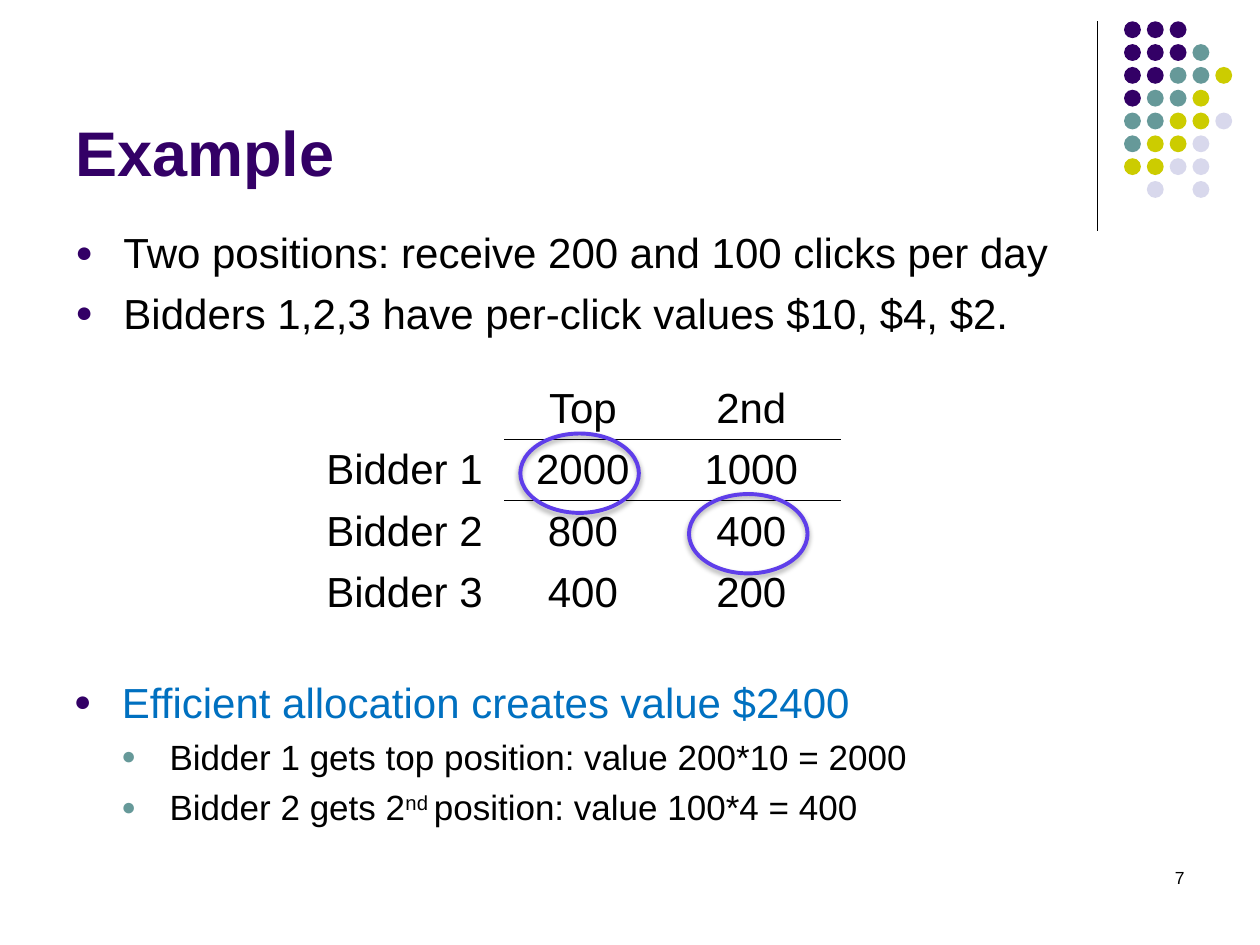
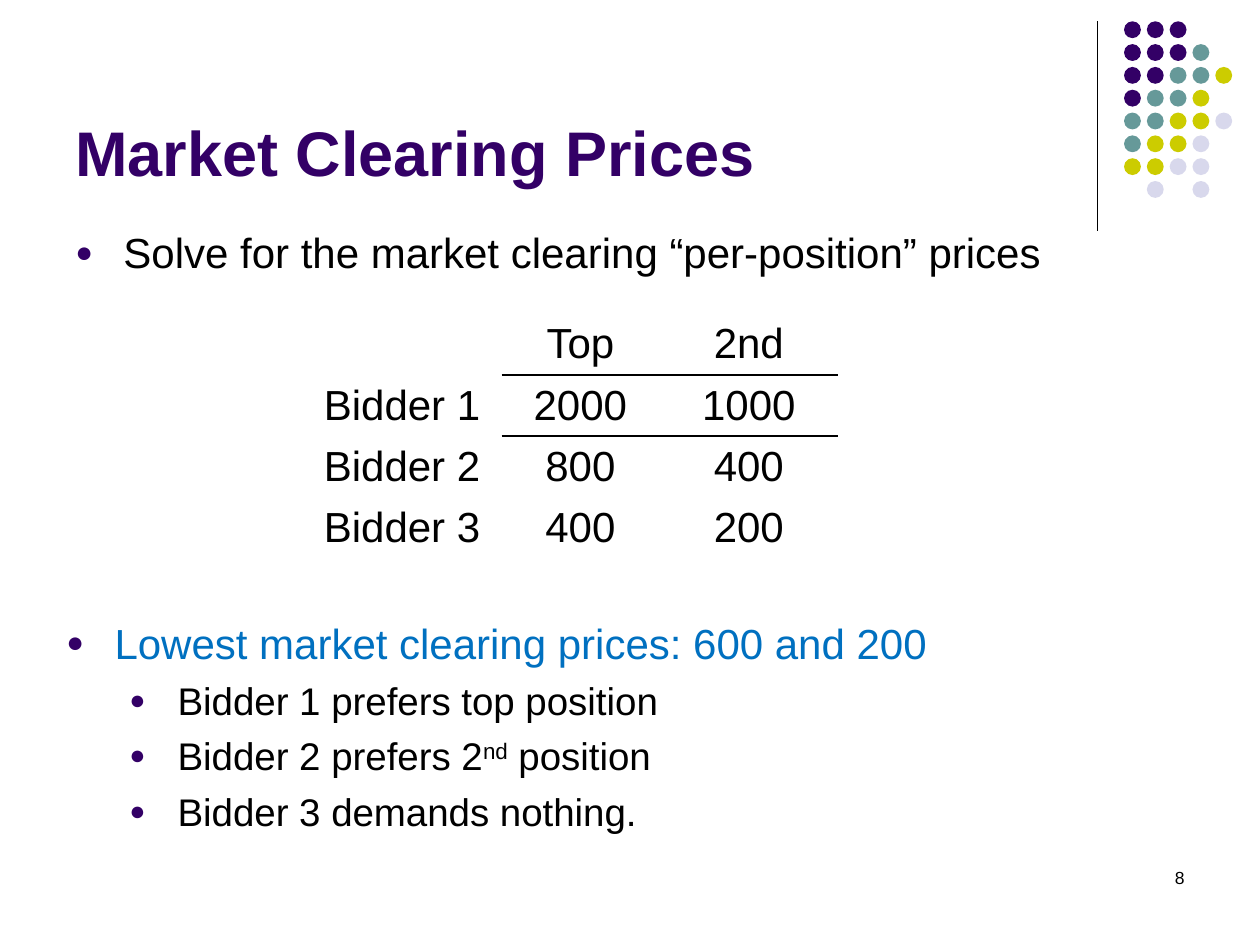
from lxml import etree
from pptx import Presentation
from pptx.dml.color import RGBColor
from pptx.enum.shapes import MSO_CONNECTOR, MSO_SHAPE
from pptx.enum.text import MSO_ANCHOR, PP_ALIGN
from pptx.oxml.ns import qn
from pptx.util import Cm, Pt

LEFT, CENTER, RIGHT = PP_ALIGN.LEFT, PP_ALIGN.CENTER, PP_ALIGN.RIGHT
TOP, MIDDLE, BOTTOM = MSO_ANCHOR.TOP, MSO_ANCHOR.MIDDLE, MSO_ANCHOR.BOTTOM
OVAL, STRAIGHT = MSO_SHAPE.OVAL, MSO_CONNECTOR.STRAIGHT

FONT = "Arial"
PURPLE, TEAL, BLACK, BLUE, VIOLET = "330066", "669999", "000000", "0070C0", "5F3EEA"
DOT_COLOURS = {"P": PURPLE, "T": TEAL, "Y": "CCCC00", "L": "D8D8EC"}
DOT_ROWS = ["PPP", "PPPT", "PPTTY", "PTTY", "TTYYL", "TYYL", "YYLL", " L L"]
DOT_PITCH, DOT_SIZE = 0.46, 0.34
HANGING = 0.97  # bullet to text, cm
NO_TABLE_STYLE = "{2D5ABB26-0587-4C30-8999-92F81FD0307C}"

VALUES = [
    ["", "Top", "2nd"],
    ["Bidder 1", "2000", "1000"],
    ["Bidder 2", "800", "400"],
    ["Bidder 3", "400", "200"],
]
COLUMN_WIDTHS = [4.01, 3.18, 3.61]
ROW_HEIGHT = 1.2

# Bullets: text (^ marks a superscript), size, colour, bullet colour, indent in cm
SLIDES = [
    {
        "title": "Example",
        "number": "7",
        "body_height": 2.97,
        "body": [
            ("Two positions: receive 200 and 100 clicks per day", 24, BLACK, PURPLE, HANGING),
            ("Bidders 1,2,3 have per-click values $10, $4, $2.", 24, BLACK, PURPLE, HANGING),
        ],
        "table_at": (6.15, 7.62),
        "circles": [(10.49, 8.74), (13.89, 9.96)],
        "conclusion_box": (1.24, 13.51, 22.86, 4.65),
        "conclusion": [
            ("Efficient allocation creates value $2400", 24, BLUE, PURPLE, HANGING),
            ("Bidder 1 gets top position: value 200*10 = 2000", 20, BLACK, TEAL, 1.93),
            ("Bidder 2 gets 2^nd ^position: value 100*4 = 400", 20, BLACK, TEAL, 1.93),
        ],
    },
    {
        "title": "Market Clearing Prices",
        "number": "8",
        "body_height": 1.47,
        "body": [
            ("Solve for the market clearing “per-position” prices", 24, BLACK, PURPLE, HANGING),
        ],
        "table_at": (6.1, 6.32),
        "circles": [],
        "conclusion_box": (1.09, 12.32, 22.86, 5.59),
        "conclusion": [
            ("Lowest market clearing prices: 600 and 200", 24, BLUE, PURPLE, HANGING),
            ("Bidder 1 prefers top position", 22, BLACK, PURPLE, 2.24),
            ("Bidder 2 prefers 2^nd^ position", 22, BLACK, PURPLE, 2.24),
            ("Bidder 3 demands nothing.", 22, BLACK, PURPLE, 2.24),
        ],
    },
]


def rgb(colour):
    return RGBColor.from_string(colour)


def add_text(slide, box, items, anchor=TOP, align=LEFT, bold=False):
    frame = slide.shapes.add_textbox(*map(Cm, box)).text_frame
    frame.word_wrap = True
    frame.vertical_anchor = anchor
    for index, (text, size, colour, bullet_colour, indent) in enumerate(items):
        paragraph = frame.paragraphs[0] if index == 0 else frame.add_paragraph()
        paragraph.alignment = align
        if index:
            paragraph.space_before = Pt(round(size * 0.24, 1))
        if bullet_colour:
            properties = paragraph._p.get_or_add_pPr()
            properties.set("marL", str(Cm(indent)))
            properties.set("indent", str(Cm(-HANGING)))
            fill = etree.SubElement(properties, qn("a:buClr"))
            etree.SubElement(fill, qn("a:srgbClr"), val=bullet_colour)
            etree.SubElement(properties, qn("a:buSzPct"), val="70000")
            etree.SubElement(properties, qn("a:buFont"), typeface=FONT)
            etree.SubElement(properties, qn("a:buChar"), char="●")
        paragraph.font.name = FONT
        paragraph.font.size = Pt(size)
        paragraph.font.bold = bold
        paragraph.font.color.rgb = rgb(colour)
        for part, words in enumerate(text.split("^")):
            run = paragraph.add_run()
            run.text = words
            if part % 2:
                run.font._element.set("baseline", "30000")


presentation = Presentation()
presentation.slide_width, presentation.slide_height = Cm(25.4), Cm(19.05)

for content in SLIDES:
    slide = presentation.slides.add_slide(presentation.slide_layouts[6])

    # Corner decoration: rule and dot grid
    rule = slide.shapes.add_connector(STRAIGHT, Cm(22.12), Cm(0.43), Cm(22.12), Cm(4.65))
    rule.line.color.rgb = rgb(BLACK)
    rule.line.width = Pt(0.75)
    etree.SubElement(rule._element.spPr, qn("a:effectLst"))
    dots = slide.shapes.add_group_shape()
    for row, letters in enumerate(DOT_ROWS):
        for column, letter in enumerate(letters):
            if letter == " ":
                continue
            dot = dots.shapes.add_shape(
                OVAL, Cm(22.66 + column * DOT_PITCH), Cm(0.43 + row * DOT_PITCH),
                Cm(DOT_SIZE), Cm(DOT_SIZE))
            dot.shadow.inherit = False
            dot.fill.solid()
            dot.fill.fore_color.rgb = rgb(DOT_COLOURS[letter])
            dot.line.fill.background()

    # Title and bullets
    add_text(slide, (1.27, 0.33, 20.96, 3.61),
             [(content["title"], 36, PURPLE, None, 0)], anchor=BOTTOM, bold=True)
    add_text(slide, (1.27, 4.45, 22.86, content["body_height"]), content["body"])
    add_text(slide, content["conclusion_box"], content["conclusion"])

    # Table of values, ruled below the position names
    left, top = content["table_at"]
    table = slide.shapes.add_table(
        len(VALUES), len(COLUMN_WIDTHS), Cm(left), Cm(top),
        Cm(sum(COLUMN_WIDTHS)), Cm(ROW_HEIGHT * len(VALUES))).table
    table.first_row = table.horz_banding = False
    table._tbl.tblPr.find(qn("a:tableStyleId")).text = NO_TABLE_STYLE
    for column, width in enumerate(COLUMN_WIDTHS):
        table.columns[column].width = Cm(width)
    for row, labels in enumerate(VALUES):
        table.rows[row].height = Cm(ROW_HEIGHT)
        for column, label in enumerate(labels):
            cell = table.cell(row, column)
            cell.fill.background()
            cell.vertical_anchor = MIDDLE
            cell.margin_top = cell.margin_bottom = Cm(0.11)
            paragraph = cell.text_frame.paragraphs[0]
            paragraph.alignment = CENTER
            paragraph.font.name = FONT
            paragraph.font.size = Pt(24)
            paragraph.font.color.rgb = rgb(BLACK)
            if label:
                paragraph.add_run().text = label
            if column and row < 2:
                border = etree.Element(qn("a:lnT" if row else "a:lnB"), w=str(Pt(1)))
                fill = etree.SubElement(border, qn("a:solidFill"))
                etree.SubElement(fill, qn("a:srgbClr"), val=BLACK)
                cell._tc.get_or_add_tcPr().insert(0, border)

    # Slide number
    add_text(slide, (18.21, 17.35, 5.92, 1.27),
             [(content["number"], 10, BLACK, None, 0)], align=RIGHT)

    # Circles around the efficient allocation
    for left, top in content["circles"]:
        circle = slide.shapes.add_shape(OVAL, Cm(left), Cm(top), Cm(2.39), Cm(1.6))
        circle.fill.background()
        circle.line.color.rgb = rgb(VIOLET)
        circle.line.width = Pt(2.25)
        circle.shadow.inherit = False
        effects = circle._element.spPr.find(qn("a:effectLst"))
        shadow = etree.SubElement(
            effects, qn("a:outerShdw"), blurRad=str(Pt(3.1)), dist=str(Pt(1.8)),
            dir="5400000", rotWithShape="0")
        shade = etree.SubElement(shadow, qn("a:srgbClr"), val=BLACK)
        etree.SubElement(shade, qn("a:alpha"), val="35000")

presentation.save("out.pptx")
